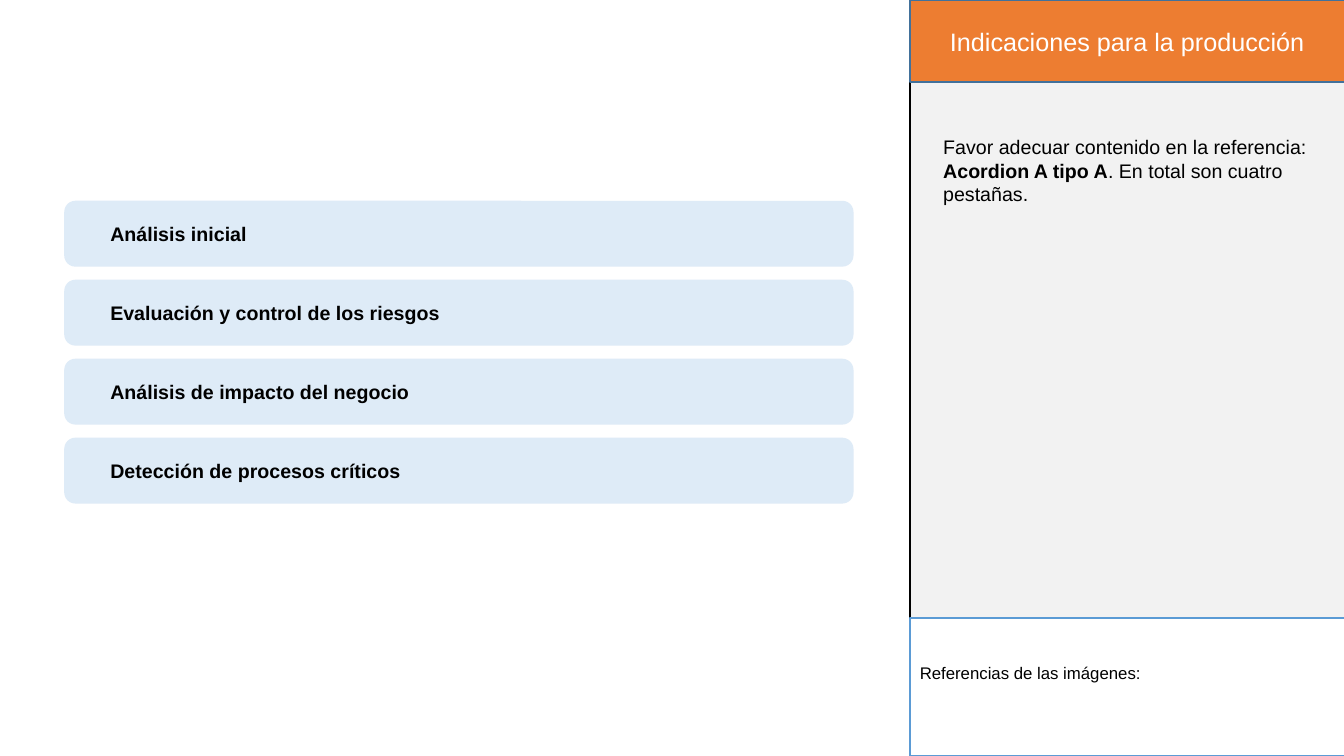
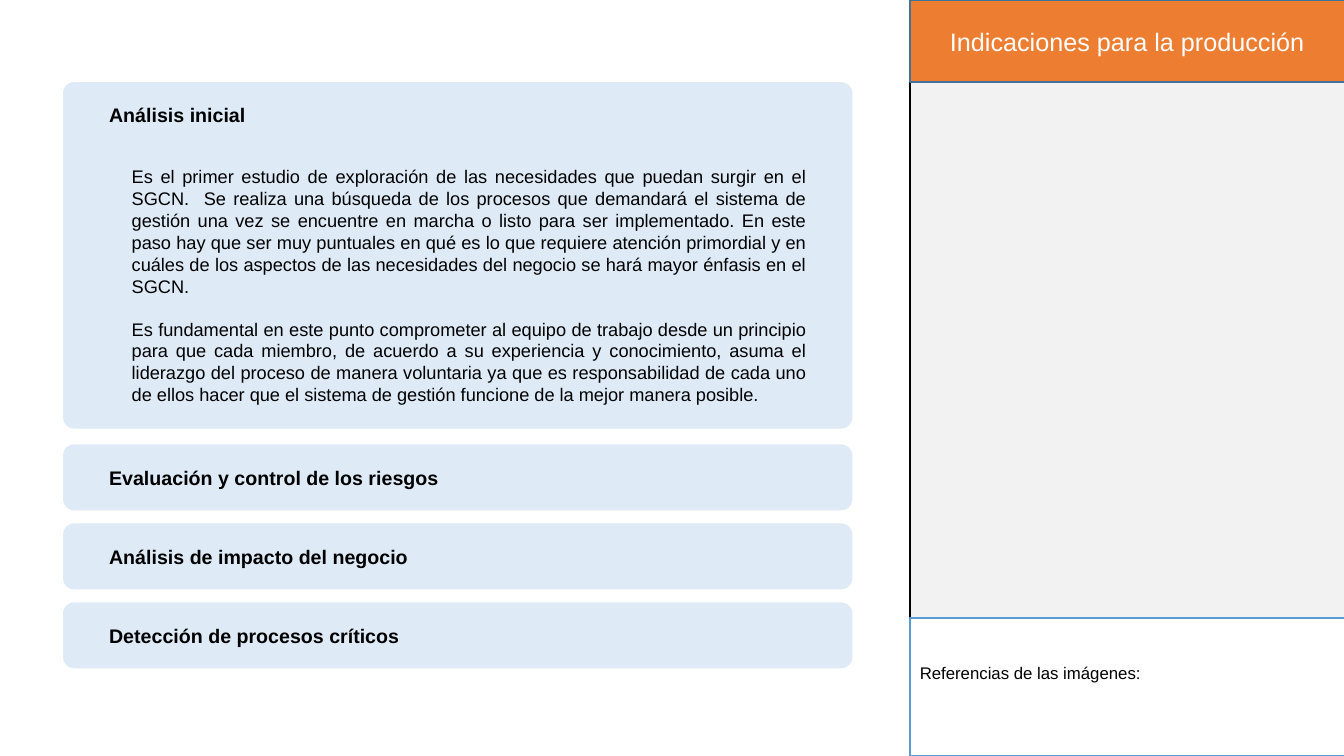
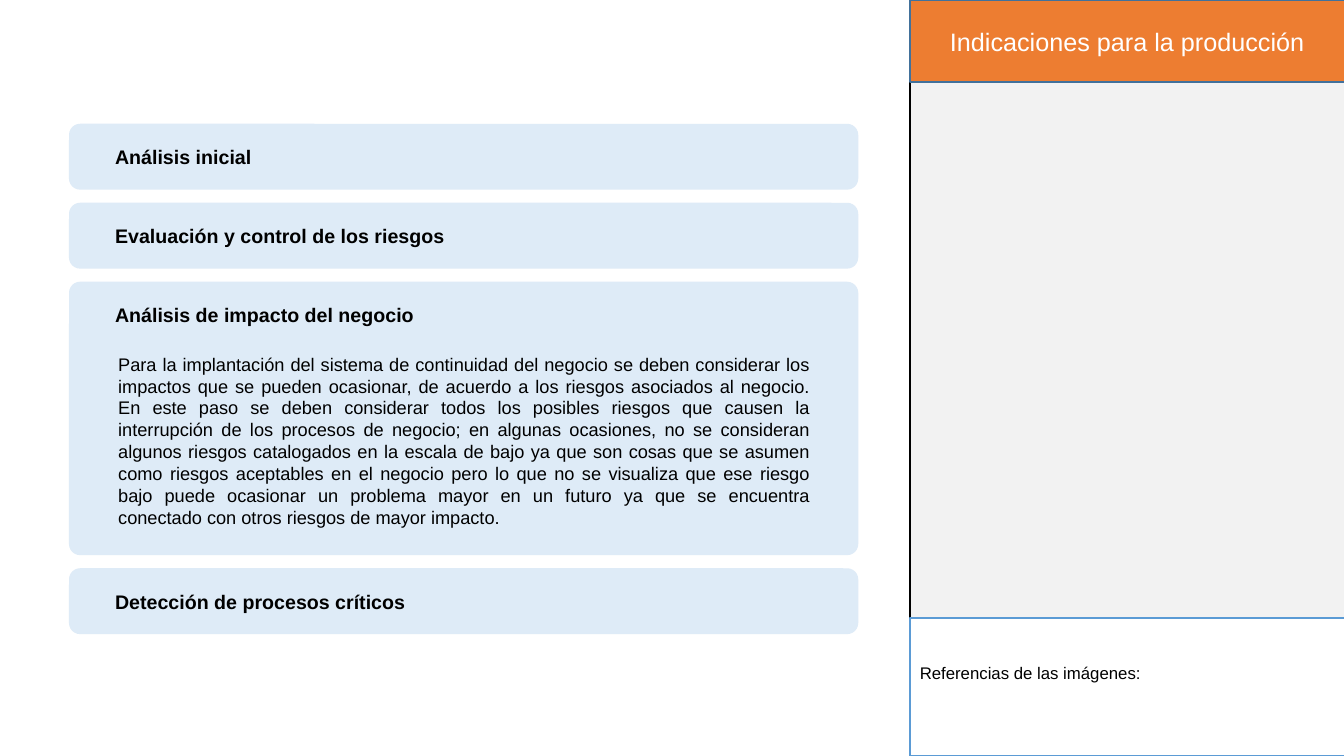
from pptx import Presentation
from pptx.dml.color import RGBColor
from pptx.enum.shapes import MSO_SHAPE
from pptx.enum.text import MSO_ANCHOR, MSO_AUTO_SIZE, PP_ALIGN
from pptx.util import Cm, Pt

ORANGE = RGBColor(0xED, 0x7D, 0x31)
DARK_BLUE = RGBColor(0x42, 0x71, 0x9B)
BLUE = RGBColor(0x5B, 0x9B, 0xD5)
PALE_BLUE = RGBColor(0xDE, 0xEB, 0xF7)
GREY = RGBColor(0xF2, 0xF2, 0xF2)
BLACK = RGBColor(0, 0, 0)
WHITE = RGBColor(0xFF, 0xFF, 0xFF)

FONT = "Arial"
SLIDE_W, SLIDE_H = 33.87, 19.05
SIDE_X, SIDE_W = 22.93, 10.95
HEADER_H = 2.07
REFERENCES_Y, REFERENCES_H = 15.57, 3.48
BAR_W, BAR_H, BAR_GAP = 19.89, 1.66, 0.33
CORNER = 0.28
LABEL_DX, LABEL_DY, LABEL_H = 0.91, 0.41, 0.86

# Label and width of its text box in cm
TABS = [
    ("Análisis inicial", 3.96),
    ("Evaluación y control de los riesgos", 8.84),
    ("Análisis de impacto del negocio", 8.08),
    ("Detección de procesos críticos", 7.85),
]

INITIAL_ANALYSIS = [
    "Es el primer estudio de exploración de las necesidades que puedan surgir "
    "en el SGCN.  Se realiza una búsqueda de los procesos que demandará el "
    "sistema de gestión una vez se encuentre en marcha o listo para ser "
    "implementado. En este paso hay que ser muy puntuales en qué es lo que "
    "requiere atención primordial y en cuáles de los aspectos de las "
    "necesidades del negocio se hará mayor énfasis en el SGCN.",
    "Es fundamental en este punto comprometer al equipo de trabajo desde un "
    "principio para que cada miembro, de acuerdo a su experiencia y "
    "conocimiento, asuma el liderazgo del proceso de manera voluntaria ya que "
    "es responsabilidad de cada uno de ellos hacer que el sistema de gestión "
    "funcione de la mejor manera posible.",
]

IMPACT_ANALYSIS = [
    "Para la implantación del sistema de continuidad del negocio se deben "
    "considerar los impactos que se pueden ocasionar, de acuerdo a los riesgos "
    "asociados al negocio. En este paso se deben considerar todos los posibles "
    "riesgos que causen la interrupción de los procesos de negocio; en algunas "
    "ocasiones, no se consideran algunos riesgos catalogados en la escala de "
    "bajo ya que son cosas que se asumen como riesgos aceptables en el negocio "
    "pero lo que no se visualiza que ese riesgo bajo puede ocasionar un "
    "problema mayor en un futuro ya que se encuentra conectado con otros "
    "riesgos de mayor impacto.",
]


def write(sp, paragraphs, size=14, color=BLACK, bold=False,
          align=PP_ALIGN.LEFT, anchor=MSO_ANCHOR.TOP, wrap=True,
          fit=MSO_AUTO_SIZE.NONE, gap=0):
    """Fill a shape; a paragraph is a string or a list of (text, bold) runs."""
    tf = sp.text_frame
    tf.word_wrap = wrap
    tf.auto_size = fit
    tf.vertical_anchor = anchor
    for i, runs in enumerate(paragraphs):
        p = tf.add_paragraph() if i else tf.paragraphs[0]
        p.alignment = align
        p.space_before = Pt(gap if i else 0)
        for text, is_bold in [(runs, bold)] if isinstance(runs, str) else runs:
            r = p.add_run()
            r.text = text
            r.font.name = FONT
            r.font.size = Pt(size)
            r.font.bold = is_bold
            r.font.color.rgb = color


def add_text(slide, x, y, w, h, paragraphs, **fmt):
    sp = slide.shapes.add_textbox(Cm(x), Cm(y), Cm(w), Cm(h))
    write(sp, paragraphs, **fmt)


def paint(sp, fill, line=None):
    sp.fill.solid()
    sp.fill.fore_color.rgb = fill
    if line is None:
        sp.line.fill.background()
    else:
        sp.line.color.rgb = line
        sp.line.width = Pt(1)


def add_box(slide, kind, x, y, w, h, fill, line=None):
    sp = slide.shapes.add_shape(kind, Cm(x), Cm(y), Cm(w), Cm(h))
    sp.shadow.inherit = False
    paint(sp, fill, line)
    return sp


def add_header(slide):
    title = slide.shapes.title
    title.left, title.top = Cm(SIDE_X), Cm(0)
    title.width, title.height = Cm(SIDE_W), Cm(HEADER_H)
    paint(title, ORANGE, DARK_BLUE)
    write(title, ["Indicaciones para la producción"], size=18, color=WHITE,
          align=PP_ALIGN.CENTER, anchor=MSO_ANCHOR.MIDDLE)
    # Bring the header in front of the side panel
    title.element.getparent().append(title.element)


def add_production_slide(prs):
    """Add a slide with the side panel, its header and the references box."""
    slide = prs.slides.add_slide(prs.slide_layouts[5])
    add_box(slide, MSO_SHAPE.RECTANGLE, SIDE_X, 0, SIDE_W, SLIDE_H, GREY, BLACK)
    add_header(slide)
    references = add_box(slide, MSO_SHAPE.RECTANGLE, SIDE_X, REFERENCES_Y,
                         SIDE_W, REFERENCES_H, WHITE, BLUE)
    write(references, ["Referencias de las imágenes:"], size=12,
          anchor=MSO_ANCHOR.MIDDLE)
    references.text_frame.margin_bottom = Cm(0.86)
    return slide


def add_accordion(slide, x, y, open_tab=None, open_h=BAR_H, open_gap=BAR_GAP):
    """Stack the tabs from y downwards, one of them optionally expanded."""
    for i, (label, label_w) in enumerate(TABS):
        h, gap = (open_h, open_gap) if i == open_tab else (BAR_H, BAR_GAP)
        bar = add_box(slide, MSO_SHAPE.ROUNDED_RECTANGLE, x, y, BAR_W, h,
                      PALE_BLUE)
        bar.adjustments[0] = CORNER / h
        add_text(slide, x + LABEL_DX, y + LABEL_DY, label_w, LABEL_H, [label],
                 bold=True, wrap=False, fit=MSO_AUTO_SIZE.SHAPE_TO_FIT_TEXT)
        y += h + gap


def add_body(slide, x, y, w, h, paragraphs):
    add_text(slide, x, y, w, h, paragraphs, size=13, align=PP_ALIGN.JUSTIFY,
             fit=MSO_AUTO_SIZE.SHAPE_TO_FIT_TEXT, gap=15)


def main():
    prs = Presentation()
    prs.slide_width, prs.slide_height = Cm(SLIDE_W), Cm(SLIDE_H)

    slide = add_production_slide(prs)
    add_text(slide, 23.52, 3.28, 9.75, 8.38, [[
        ("Favor adecuar contenido en la referencia: ", False),
        ("Acordion A tipo A", True),
        (". En total son cuatro pestañas.", False),
    ]])
    add_accordion(slide, 1.62, 5.06)

    slide = add_production_slide(prs)
    add_accordion(slide, 1.59, 2.07, open_tab=0, open_h=8.73, open_gap=0.4)
    add_body(slide, 3.07, 4.05, 17.48, 6.38, INITIAL_ANALYSIS)

    slide = add_production_slide(prs)
    add_accordion(slide, 1.74, 3.12, open_tab=2, open_h=6.89)
    add_body(slide, 2.73, 8.77, 17.91, 4.7, IMPACT_ANALYSIS)

    prs.save("out.pptx")


if __name__ == "__main__":
    main()
